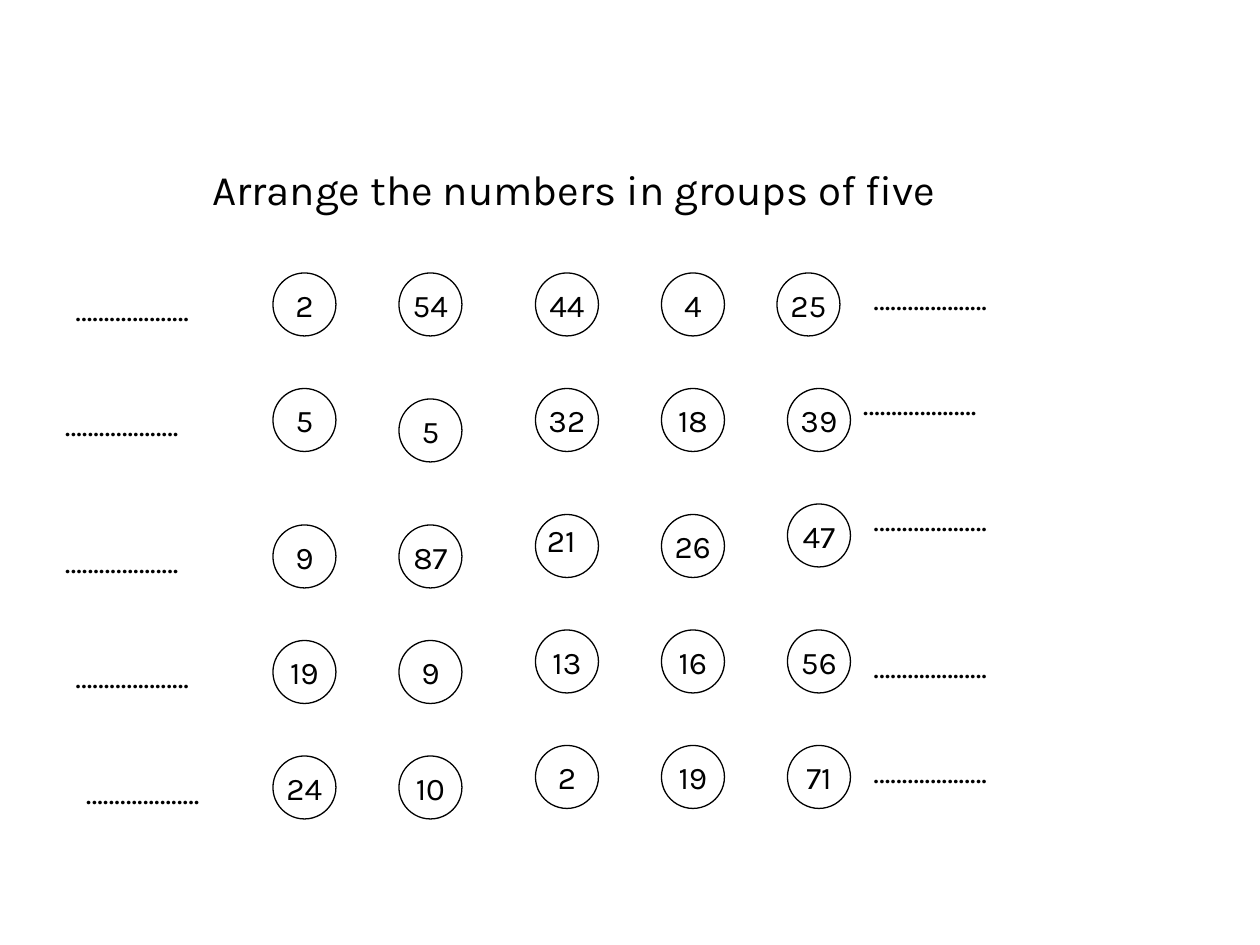
from dataclasses import dataclass

from pptx import Presentation
from pptx import util as u
from pptx.dml.color import RGBColor
from pptx.enum import shapes, text

BLACK = RGBColor(0, 0, 0)
WHITE = RGBColor(255, 255, 255)
FONT = "Karla"
CELL = u.Inches(1) // 12  # the slide is a grid of 120 by 90 cells
CIRCLE_SIZE = 6
BLANK_SIZE = (19, 4.8)
DOTS = "………………."  + "."


@dataclass
class NumberColumn:
    left: int
    tops: tuple[int, ...]
    numbers: tuple[str, ...]
    first_shift: int = 0


NUMBER_COLUMNS = (
    NumberColumn(26, (26, 37, 50, 61, 72), ("2", "5", "9", "19", "24")),
    NumberColumn(38, (26, 38, 50, 61, 72), ("54", "5", "87", "9", "10")),
    NumberColumn(51, (26, 37, 49, 60, 71), ("44", "32", "", "13", "2")),
    NumberColumn(63, (26, 37, 49, 60, 71), ("4", "18", "26", "16", "19")),
    NumberColumn(75, (26, 37, 48, 60, 71), ("25", "39", "47", "56", "71"), -1),
)
# Column and row of each answer blank
BLANKS = (
    (6, 27), (5, 38), (5, 51), (6, 62), (7, 73),
    (82, 26), (81, 36), (82, 47), (82, 61), (82, 71),
)


def cells(*counts: float) -> list[int]:
    return [round(count * CELL) for count in counts]


def write(shape, words: str, size: int = 18, alignment=text.PP_ALIGN.LEFT,
          **frame_format) -> None:
    frame = shape.text_frame
    for name, value in frame_format.items():
        setattr(frame, name, value)
    paragraph = frame.paragraphs[0]
    paragraph.text = words
    paragraph.alignment = alignment
    font_format = {"name": FONT, "size": u.Pt(size)}
    for name, value in font_format.items():
        setattr(paragraph.font, name, value)
    paragraph.font.color.rgb = BLACK


def add_circle(slide, left: float, top: float, number: str) -> None:
    circle = slide.shapes.add_shape(
        shapes.MSO_SHAPE.OVAL, *cells(left, top, CIRCLE_SIZE, CIRCLE_SIZE))
    circle.shadow.inherit = False
    circle.fill.solid()
    circle.fill.fore_color.rgb = WHITE
    circle.line.color.rgb = BLACK
    circle.line.width = u.Pt(0.75)
    if number:
        write(circle, number, alignment=text.PP_ALIGN.CENTER, word_wrap=False,
              vertical_anchor=text.MSO_ANCHOR.MIDDLE)


def add_label(slide, box: tuple[float, ...], words: str, wrap: bool = True) -> None:
    label = slide.shapes.add_textbox(*cells(*box))
    write(label, words, word_wrap=wrap,
          auto_size=text.MSO_AUTO_SIZE.SHAPE_TO_FIT_TEXT)


def main() -> None:
    presentation = Presentation()
    presentation.slide_width, presentation.slide_height = cells(120, 90)
    slide = presentation.slides.add_slide(presentation.slide_layouts[5])

    # Title
    title = slide.shapes.title
    title.left, title.top, title.width, title.height = cells(19, 15, 79, 6)
    write(title, "Arrange the numbers in groups of five", 24, word_wrap=True,
          vertical_anchor=text.MSO_ANCHOR.TOP,
          auto_size=text.MSO_AUTO_SIZE.SHAPE_TO_FIT_TEXT)

    # Numbered circles
    for column in NUMBER_COLUMNS:
        for row, (top, number) in enumerate(zip(column.tops, column.numbers)):
            shift = column.first_shift if row == 0 else 0
            add_circle(slide, column.left + shift, top, number)

    # Answer blanks on both sides
    for left, top in BLANKS:
        add_label(slide, (left, top, *BLANK_SIZE), DOTS)

    # Number set loosely over the empty circle
    add_label(slide, (50.9, 49, 5.75, 4.8), "21", wrap=False)

    presentation.save("out.pptx")


if __name__ == "__main__":
    main()
